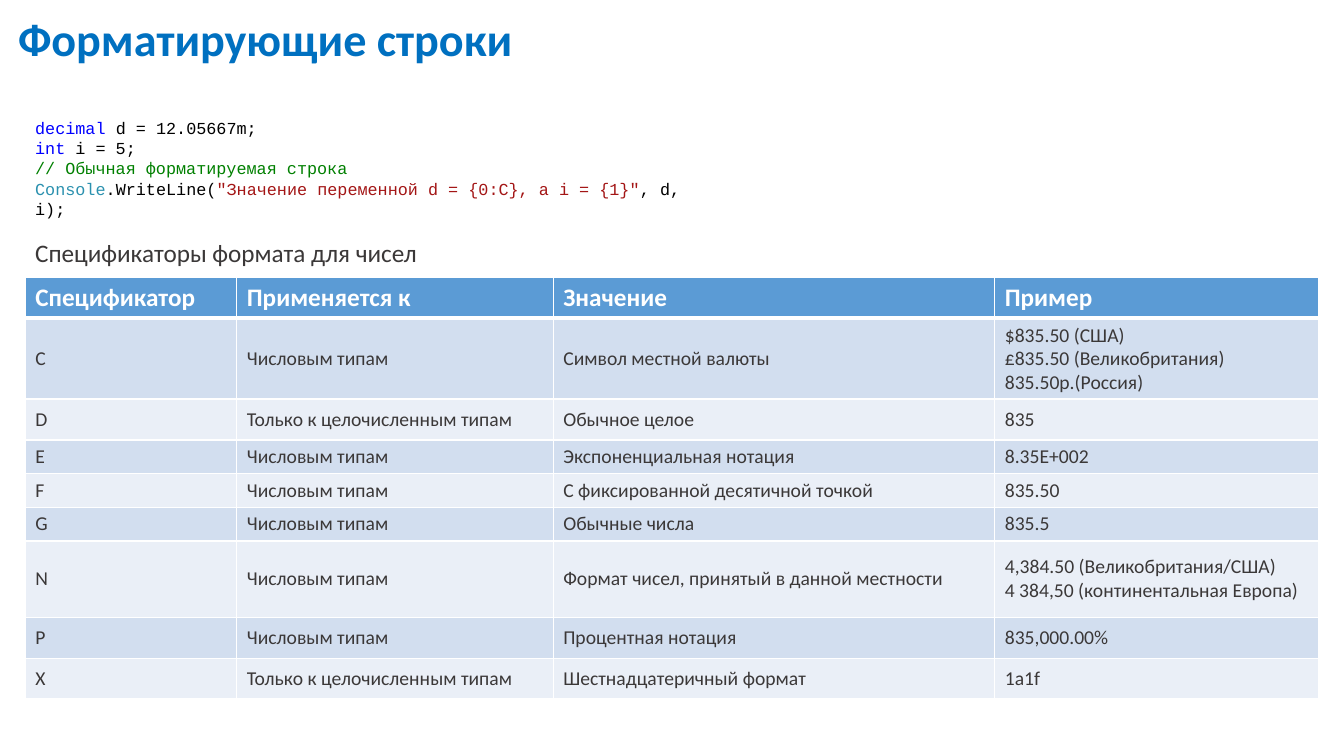
from dataclasses import dataclass

from lxml.etree import SubElement
from pptx import Presentation
from pptx.dml.color import RGBColor
from pptx.enum.text import MSO_ANCHOR as Anchor
from pptx.oxml.ns import qn
from pptx.table import _Cell as Cell
from pptx.text.text import TextFrame, _Paragraph as Paragraph
from pptx.util import Pt

WHITE, DARK, BLUE = "FFFFFF", "3B3838", "0070C0"
BLACK, KEYWORD, COMMENT, TYPE, STRING = "000000", "0000FF", "008000", "2B91AF", "A31515"
HEADER_FILL, BAND_FILLS = "5B9BD5", ("D2DEEF", "EAEFF7")


@dataclass(frozen=True)
class Style:
    size: float
    color: str
    font: str = "Calibri"
    bold: bool = False


@dataclass(frozen=True)
class Span:
    text: str
    style: Style


@dataclass(frozen=True)
class TextBox:
    left: float
    top: float
    width: float
    height: float
    lines: list[list[Span]]
    wrap: bool = True
    line_spacing: float | None = None


@dataclass(frozen=True)
class Row:
    height: float
    texts: tuple[str, str, str, str]


def rgb(color: str) -> RGBColor:
    return RGBColor.from_string(color)


def code(text: str, color: str = BLACK) -> Span:
    return Span(text, Style(12, color, "Courier New"))


def add_span(para: Paragraph, span: Span) -> None:
    run = para.add_run()
    run.text = span.text
    run.font.name = span.style.font
    run.font.size = Pt(span.style.size)
    run.font.bold = span.style.bold
    run.font.color.rgb = rgb(span.style.color)


def fill_paragraphs(frame: TextFrame, lines: list[list[Span]],
                    line_spacing: float | None = None) -> None:
    for index, spans in enumerate(lines):
        para = frame.add_paragraph() if index else frame.paragraphs[0]
        para.line_spacing = line_spacing
        for span in spans:
            add_span(para, span)


def add_text_box(page, box: TextBox) -> None:
    shape = page.shapes.add_textbox(Pt(box.left), Pt(box.top), Pt(box.width), Pt(box.height))
    shape.text_frame.word_wrap = box.wrap
    fill_paragraphs(shape.text_frame, box.lines, box.line_spacing)


def set_borders(cell: Cell, widths: dict[str, float]) -> None:
    properties = cell._tc.get_or_add_tcPr()
    for position, (side, width) in enumerate(widths.items()):
        line = SubElement(properties, qn(f"a:{side}"), w=str(Pt(width)))
        fill = SubElement(line, qn("a:solidFill"))
        SubElement(fill, qn("a:srgbClr"), val=WHITE)
        properties.remove(line)
        properties.insert(position, line)


def fill_cell(cell: Cell, text: str, row_index: int) -> None:
    is_header = row_index == 0
    style = Style(18, WHITE, bold=True) if is_header else Style(14, DARK)
    fill_paragraphs(cell.text_frame, [[Span(line, style)] for line in text.split("\n")])
    cell.vertical_anchor = Anchor.TOP if is_header else Anchor.MIDDLE
    cell.fill.solid()
    cell.fill.fore_color.rgb = rgb(HEADER_FILL if is_header else BAND_FILLS[(row_index - 1) % 2])
    top = 3 if row_index == 1 else 1
    bottom = 3 if is_header else 1
    set_borders(cell, {"lnL": 1, "lnR": 1, "lnT": top, "lnB": bottom})


def add_format_table(page, left: float, top: float, widths: list[float], rows: list[Row]) -> None:
    height = sum(row.height for row in rows)
    table = page.shapes.add_table(len(rows), len(widths), Pt(left), Pt(top),
                                  Pt(sum(widths)), Pt(height)).table
    for column, width in zip(table.columns, widths):
        column.width = Pt(width)
    for row_index, row in enumerate(rows):
        table.rows[row_index].height = Pt(row.height)
        for column_index, text in enumerate(row.texts):
            fill_cell(table.cell(row_index, column_index), text, row_index)


TITLE = TextBox(5.8, 8.6, 770, 52, [[Span("Форматирующие строки", Style(33, BLUE, bold=True))]],
                line_spacing=0.9)
CODE = TextBox(18, 80.6, 480, 65.5, [
    [code("decimal", KEYWORD), code(" d = 12.05667m;")],
    [code("int ", KEYWORD), code("i = 5;")],
    [code("// Обычная форматируемая строка", COMMENT)],
    [code("Console", TYPE), code(".WriteLine("),
     code('"Значение переменной d = {0:C}, а i = {1}"', STRING), code(", d, i);")],
])
CAPTION = TextBox(18, 165.6, 290, 29,
                  [[Span("Спецификаторы формата для чисел", Style(18, DARK))]], wrap=False)

COLUMN_WIDTHS = [151.2, 226, 315.4, 231]
NUMERIC, INTEGER = "Числовым типам", "Только к целочисленным типам"
ROWS = [
    Row(29.2, ("Спецификатор", "Применяется к", "Значение", "Пример")),
    Row(53, ("C", NUMERIC, "Символ местной валюты",
             "$835.50 (США)\n£835.50 (Великобритания)\n835.50р.(Россия)")),
    Row(29.2, ("D", INTEGER, "Обычное целое", "835")),
    Row(24, ("E", NUMERIC, "Экспоненциальная нотация", "8.35Е+002")),
    Row(24, ("F", NUMERIC, "С фиксированной десятичной точкой", "835.50")),
    Row(24, ("G", NUMERIC, "Обычные числа", "835.5")),
    Row(54.6, ("N", NUMERIC, "Формат чисел, принятый в данной местности",
               "4,384.50 (Великобритания/США)\n4 384,50 (континентальная Европа)")),
    Row(29.2, ("P", NUMERIC, "Процентная нотация", "835,000.00%")),
    Row(29.2, ("X", INTEGER, "Шестнадцатеричный формат", "1a1f")),
]


def main() -> None:
    deck = Presentation()
    deck.slide_width, deck.slide_height = Pt(960), Pt(540)
    page = deck.slides.add_slide(deck.slide_layouts[6])

    # Title, code sample and table caption
    for box in (TITLE, CODE, CAPTION):
        add_text_box(page, box)

    # Number format specifiers
    add_format_table(page, 18, 198.2, COLUMN_WIDTHS, ROWS)

    deck.save("out.pptx")


if __name__ == "__main__":
    main()
